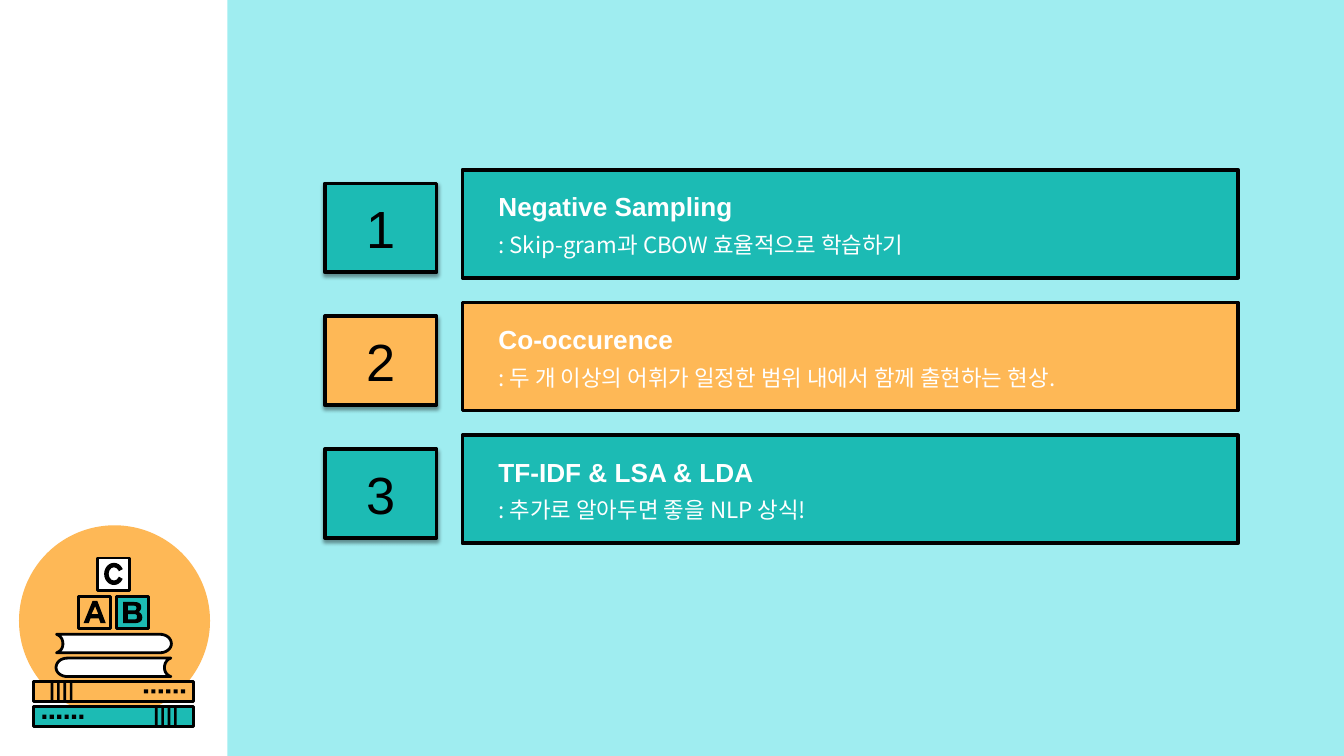
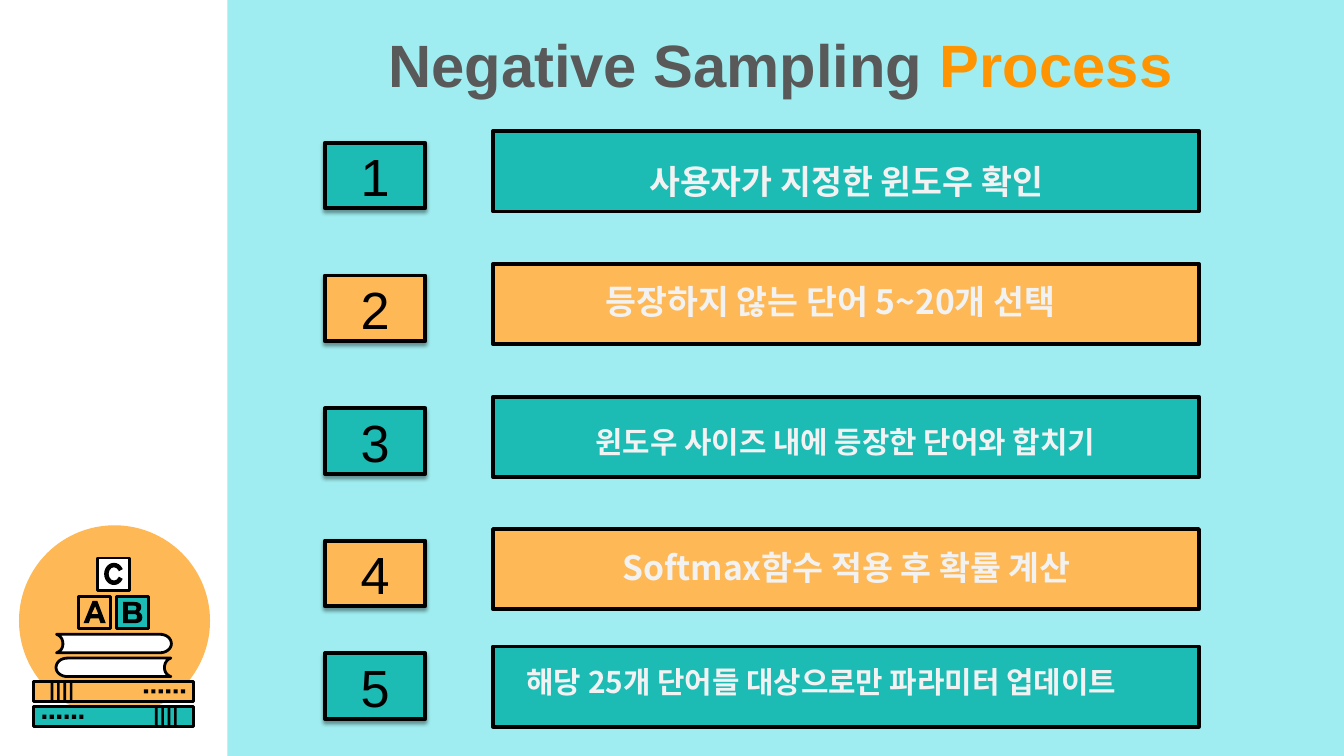
"""Build two slides on negative sampling: an agenda and a five-step process."""
from lxml import etree
from pptx import Presentation
from pptx.dml.color import RGBColor
from pptx.enum.shapes import MSO_SHAPE
from pptx.enum.text import MSO_ANCHOR, PP_ALIGN
from pptx.oxml.ns import qn
from pptx.util import Cm, Pt

RECT, OVAL, ARC = MSO_SHAPE.RECTANGLE, MSO_SHAPE.OVAL, MSO_SHAPE.BLOCK_ARC
LEFT, MID = PP_ALIGN.LEFT, PP_ALIGN.CENTER
TOP, CENTER = MSO_ANCHOR.TOP, MSO_ANCHOR.MIDDLE

AQUA = RGBColor(0x9F, 0xED, 0xF0)
TEAL = RGBColor(0x1C, 0xBB, 0xB4)
AMBER = RGBColor(0xFE, 0xB8, 0x56)
ORANGE = RGBColor(0xFE, 0x94, 0x01)
BLACK = RGBColor(0, 0, 0)
GRAY = RGBColor(0x59, 0x59, 0x59)
PALE = RGBColor(0xF2, 0xF2, 0xF2)
WHITE = RGBColor(0xFF, 0xFF, 0xFF)
FILLS = TEAL, AMBER
SANS, KOREAN = "Arial", "Noto Sans CJK KR"

TOPICS = [
    ("Negative Sampling", ": Skip-gram과 CBOW 효율적으로 학습하기"),
    ("Co-occurence", ": 두 개 이상의 어휘가 일정한 범위 내에서 함께 출현하는 현상."),
    ("TF-IDF & LSA & LDA", ": 추가로 알아두면 좋을 NLP 상식!"),
]
TITLE = [("Negative Sampling ", GRAY), ("Process", ORANGE)]
FIRST = "사용자가 지정한 윈도우 확인"
STEPS = [
    (2.48, 0.22, None),
    (4.99, 0.22, ("등장하지 않는 단어 5~20개 선택", 18, MID, None, (9.7, 5.18, 11.99, 1.02))),
    (7.5, 0.22, ("윈도우 사이즈 내에 등장한 단어와 합치기", 16, MID, 1.5, (9.98, 7.54, 11.99, 1.17))),
    (10, 0.22, ("Softmax함수 적용 후 확률 계산", 18, LEFT, None, (11.51, 10.21, 11.99, 1.02))),
    (12.22, 0.13, ("해당 25개 단어들 대상으로만 파라미터 업데이트", 16, LEFT, None, (9.7, 12.42, 12.95, 0.94))),
]

AXIS = 4.3
BLOCKS = [(1.48, 11.27, AMBER), (2.2, 11.27, TEAL), (1.84, 10.55, WHITE)]
CURVE_C = 17.567, 198.895, 0.228
LETTER_A = [
    [(1.8, 11.46), (1.73, 11.61), (1.86, 11.61)],
    [(1.75, 11.36), (1.84, 11.36), (2, 11.78), (1.9, 11.78),
     (1.87, 11.69), (1.71, 11.69), (1.68, 11.78), (1.58, 11.78)],
]
LETTER_B = [
    [(2.42, 11.61), (2.42, 11.71), (2.53, 11.71),
     (2.59, 11.71, 2.59, 11.69, 2.59, 11.66), (2.59, 11.62, 2.58, 11.61, 2.53, 11.61)],
    [(2.42, 11.45), (2.42, 11.54), (2.53, 11.54),
     (2.57, 11.54, 2.58, 11.53, 2.58, 11.49), (2.58, 11.47, 2.57, 11.45, 2.53, 11.45)],
    [(2.33, 11.38), (2.54, 11.38),
     (2.64, 11.38, 2.67, 11.43, 2.67, 11.47), (2.67, 11.53, 2.64, 11.56, 2.62, 11.57),
     (2.67, 11.59, 2.69, 11.63, 2.69, 11.67), (2.69, 11.75, 2.63, 11.78, 2.54, 11.78),
     (2.33, 11.78)],
]
BOOK = [
    (1.07, 11.99), (3.02, 11.99),
    (3.15, 11.99, 3.24, 12.07, 3.24, 12.17), (3.24, 12.26, 3.15, 12.34, 3.02, 12.34),
    (1.07, 12.34),
    (1.15, 12.31, 1.19, 12.25, 1.19, 12.17), (1.19, 12.09, 1.15, 12.02, 1.07, 11.99),
]


def paint(shape, fill, line=None):
    shape.shadow.inherit = False
    shape.fill.solid()
    shape.fill.fore_color.rgb = fill
    if line:
        shape.line.color.rgb = BLACK
        shape.line.width = Pt(line)
    else:
        shape.line.fill.background()
    return shape


def draw(shapes, kind, box, fill, line=None):
    return paint(shapes.add_shape(kind, *map(Cm, box)), fill, line)


def flatten(path):
    points = [path[0]]
    for node in path[1:]:
        if len(node) == 2:
            points.append(node)
            continue
        knots = [points[-1], node[:2], node[2:4], node[4:]]
        for step in range(1, 9):
            t = step / 8
            parts = (1 - t) ** 3, 3 * t * (1 - t) ** 2, 3 * t * t * (1 - t), t ** 3
            points.append(tuple(sum(w * k[i] for w, k in zip(parts, knots)) for i in (0, 1)))
    return points


def trace(shapes, paths, fill, line=None):
    pen = None
    for path in paths:
        points = [(Cm(x), Cm(y)) for x, y in path]
        if pen is None:
            pen = shapes.build_freeform(*points[0])
        else:
            pen.move_to(*points[0])
        pen.add_line_segments(points[1:], close=True)
    paint(pen.convert_to_shape(), fill, line)


def write(shape, runs, size, face, align=LEFT, bold=False, space=None, anchor=TOP, wrap=True):
    frame = shape.text_frame
    frame.word_wrap = wrap
    frame.vertical_anchor = anchor
    para = frame.paragraphs[0]
    para.alignment = align
    if space:
        para.line_spacing = space
    font = para.font
    font.size, font.name, font.bold = Pt(size), face, bold
    if len(runs) == 1:
        font.color.rgb = runs[0][1]
    for text, color in runs:
        run = para.add_run()
        run.text = text
        if len(runs) > 1:
            run.font.color.rgb = color
    props = para._p.pPr.find(qn("a:defRPr"))
    etree.SubElement(props, qn("a:ea"), typeface=face)


def label(slide, box, *args, **style):
    write(slide.shapes.add_textbox(*map(Cm, box)), *args, **style)


def number(slide, index, box):
    tile = draw(slide.shapes, RECT, box, FILLS[index % 2], 2)
    effects = tile.element.spPr.find(qn("a:effectLst"))
    shade = etree.SubElement(effects, qn("a:outerShdw"), blurRad=str(Pt(2)),
                             dist=str(Pt(1.5)), dir="5400000", rotWithShape="0")
    color = etree.SubElement(shade, qn("a:srgbClr"), val=str(BLACK))
    etree.SubElement(color, qn("a:alpha"), val="40000")
    write(tile, [(str(index + 1), BLACK)], 28, SANS, MID, anchor=CENTER, wrap=False)


def shelf(shapes, top, fill, flip):
    def mark(left, drop, wide, high):
        x = AXIS - left - wide if flip else left
        draw(shapes, RECT, (x, top + drop, wide, high), BLACK)

    draw(shapes, RECT, (0.64, top, 3.02, 0.38), fill, 1.5)
    for i in range(4):
        mark(0.96 + 0.12 * i, 0, 0.05, 0.38)
    for i in range(6):
        mark(2.72 + 0.14 * i, 0.15, 0.08, 0.08)


def backdrop(slide, layout):
    panel = draw(slide.shapes, RECT, (4.3, 0, 21.1, 14.29), AQUA)
    group = slide.shapes.add_group_shape()
    art = group.shapes
    draw(art, OVAL, (0.36, 9.93, 3.61, 3.61), AMBER)
    shelf(art, 12.88, AMBER, False)
    shelf(art, 13.36, TEAL, True)
    for x, y, fill in BLOCKS:
        draw(art, RECT, (x, y, 0.61, 0.61), fill, 1.5)
    for letter in LETTER_A, LETTER_B:
        trace(art, [flatten(path) for path in letter], BLACK)
    arc = draw(art, ARC, (1.97, 10.64, 0.37, 0.42), BLACK)
    for i, value in enumerate(CURVE_C):
        arc.adjustments[i] = value
    book = flatten(BOOK)
    trace(art, [book], WHITE, 1.5)
    trace(art, [[(AXIS - x, y + 0.45) for x, y in book]], WHITE, 1.5)
    for part in panel, group:
        layout.shapes.element.append(part.element)


def agenda(slide):
    for i, (head, note) in enumerate(TOPICS):
        top = 3.21 + 2.51 * i
        number(slide, i, (6.14, top + 0.26, 2.11, 1.68))
        draw(slide.shapes, RECT, (8.74, top, 14.66, 2.04), FILLS[i % 2], 2)
        label(slide, (9.17, top + 0.27, 13.21, 0.86), [(head, WHITE)], 14, SANS, bold=True)
        label(slide, (9.17, top + 1.03, 13.21, 0.76), [(note, WHITE)], 12, KOREAN)


def process(slide):
    label(slide, (4.5, 0.41, 20.5, 2.16), TITLE, 32, SANS, MID, bold=True)
    for i, (top, drop, step) in enumerate(STEPS):
        number(slide, i, (6.14, top + drop, 1.9, 1.24))
        bar = draw(slide.shapes, RECT, (9.32, top, 13.34, 1.52), FILLS[i % 2], 2)
        if step:
            text, size, align, space, box = step
            label(slide, box, [(text, PALE)], size, KOREAN, align, bold=True, space=space)
        else:
            write(bar, [(FIRST, PALE)], 18, KOREAN, MID, bold=True, space=1.5,
                  anchor=CENTER, wrap=False)


def main():
    deck = Presentation()
    deck.slide_width, deck.slide_height = Cm(25.4), Cm(14.29)
    blank = deck.slide_layouts[6]
    intro, steps = (deck.slides.add_slide(blank) for _ in range(2))
    backdrop(intro, blank)
    agenda(intro)
    process(steps)
    deck.save("out.pptx")


if __name__ == "__main__":
    main()
